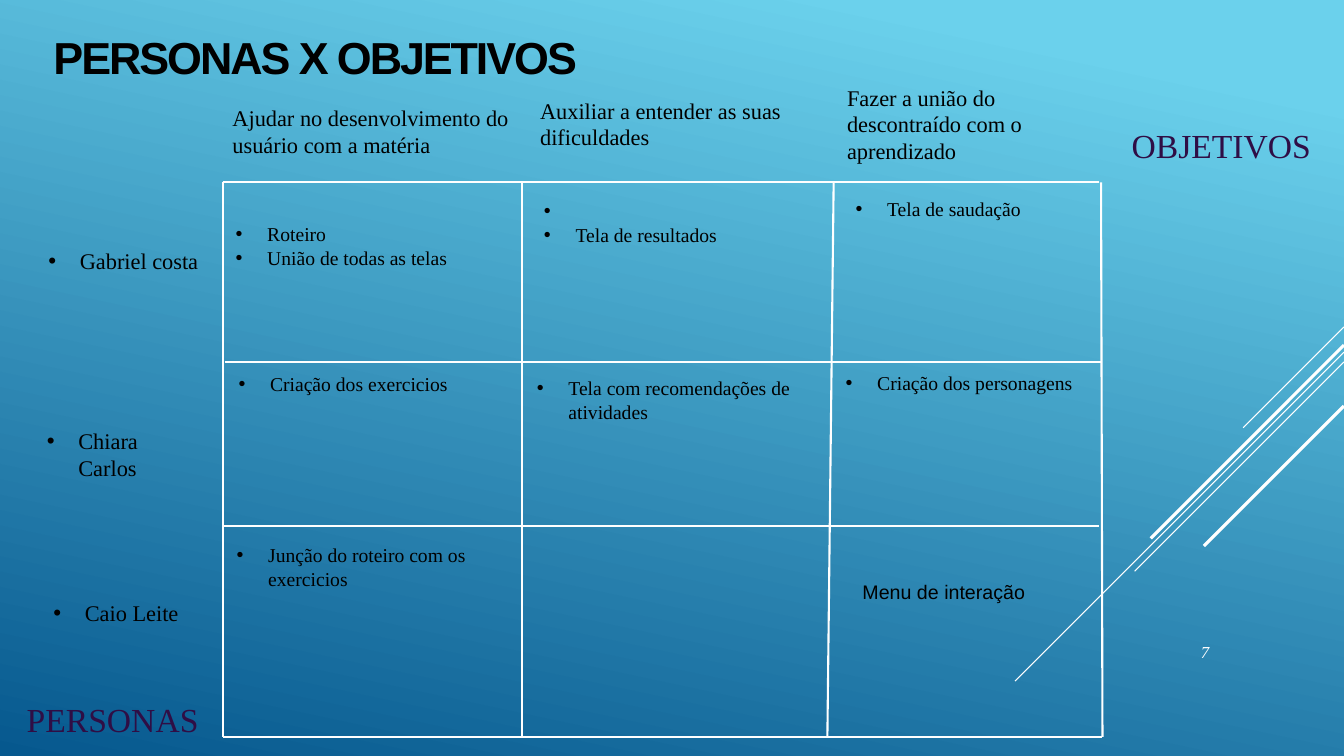
import pptx
import pptx.dml.color
import pptx.enum.shapes
import pptx.enum.text
import pptx.oxml.ns
import pptx.util
from lxml import etree

Pt = pptx.util.Pt
RGB = pptx.dml.color.RGBColor
qn = pptx.oxml.ns.qn
ALIGN = pptx.enum.text.PP_ALIGN
ANCHOR = pptx.enum.text.MSO_ANCHOR

WHITE = RGB(0xFF, 0xFF, 0xFF)
BLACK = RGB(0x00, 0x00, 0x00)
PURPLE = RGB(0x2F, 0x0E, 0x45)
SKY = RGB(0x6B, 0xD1, 0xEC)
OCEAN = RGB(0x06, 0x58, 0x8E)
SERIF = "Times New Roman"
SANS = "Arial"

prs = pptx.Presentation()
prs.slide_width, prs.slide_height = Pt(960), Pt(540)
s = prs.slides.add_slide(prs.slide_layouts[5])

fill = s.background.fill
fill.gradient()
fill.gradient_angle = 258
for stop, color, position in zip(fill.gradient_stops, (SKY, OCEAN), (0.1, 1)):
    stop.color.rgb = color
    stop.position = position


def add_line(x1, y1, x2, y2, width):
    c = s.shapes.add_connector(
        pptx.enum.shapes.MSO_CONNECTOR.STRAIGHT, Pt(x1), Pt(y1), Pt(x2), Pt(y2))
    c.line.color.rgb = WHITE
    c.line.width = Pt(width)
    etree.SubElement(c._element.spPr, qn("a:effectLst"))


def add_text(text, x, y, w, h, size=14, font=SERIF, color=BLACK, bold=False,
             italic=False, bullet=False, align=ALIGN.LEFT, anchor=ANCHOR.TOP, sp=None):
    """Write one paragraph per line of text, in sp or in a new text box."""
    sp = sp or s.shapes.add_textbox(0, 0, 0, 0)
    sp.left, sp.top, sp.width, sp.height = Pt(x), Pt(y), Pt(w), Pt(h)
    tf = sp.text_frame
    tf.word_wrap = True
    tf.auto_size = pptx.enum.text.MSO_AUTO_SIZE.NONE
    tf.vertical_anchor = anchor
    for i, line in enumerate(text.split("\n")):
        p = tf.add_paragraph() if i else tf.paragraphs[0]
        p.alignment = align
        r = p.add_run()
        r.text = line
        r.font.size, r.font.name = Pt(size), font
        r.font.bold, r.font.italic = bold, italic
        r.font.color.rgb = color
        if bullet:
            pPr = p._p.get_or_add_pPr()
            pPr.set("marL", str(Pt(22.5)))
            pPr.set("indent", str(Pt(-22.5)))
            etree.SubElement(pPr, qn("a:buFont")).set("typeface", SANS)
            etree.SubElement(pPr, qn("a:buChar")).set("char", "•")
    return sp


# Diagonal accents, all starting at the right edge and running at 45 degrees
for y, run, width in [(233.5, 72, 0.75), (251.5, 235, 0.75), (258.5, 149.5, 0.75),
                      (246.5, 138, 2.25), (290, 100, 2.25)]:
    add_line(960, y, 960 - run, y + run, width)

# Grid
TOP, BOTTOM = 130.3, 526.3
for x_top, x_bottom in [(159, 159), (373, 373), (595.5, 591), (786.5, 787.5)]:
    add_line(x_top, TOP, x_bottom, BOTTOM, 1.5)
for y, x1, x2 in [(TOP, 159, 785), (258.5, 160.5, 786.5), (375.8, 159, 785),
                  (BOTTOM, 159, 787.5)]:
    add_line(x1, y, x2, y, 1.5)

# Title and axis names
title = add_text("PERSONAS X OBJETIVOS", 31, 21.6, 724, 34, size=32, font=SANS,
                 bold=True, sp=s.shapes.title)
p = title.text_frame.paragraphs[0]
p.line_spacing = 0.9
p.runs[0].font._element.set("spc", "-150")
add_text("PERSONAS", 12, 495.5, 143, 36, size=24, color=PURPLE)
add_text("OBJETIVOS", 801.3, 85.5, 145, 36, size=24, color=PURPLE)

# Column heads
for text, x, y, w, h in [
    ("Ajudar no desenvolvimento do usuário com a matéria", 159, 70.7, 216, 45),
    ("Auxiliar a entender as suas dificuldades", 378.7, 65.5, 217.5, 45),
    ("Fazer a união do descontraído com o aprendizado", 598, 56.3, 191, 86),
]:
    add_text(text, x, y, w, h, size=16)

# Row heads
for text, x, y, w, h in [
    ("Gabriel costa", 27.4, 173, 143, 26),
    ("Chiara Carlos", 26.4, 301.5, 118, 45),
    ("Caio Leite", 31, 424.7, 118, 26),
]:
    add_text(text, x, y, w, h, size=16, bullet=True)

# Cells
for text, x, y, w, h in [
    ("Roteiro\nUnião de todas as telas", 161.3, 155.2, 209.5, 40.5),
    (" \nTela de resultados", 381.5, 138.8, 206, 40.5),
    ("Tela de saudação", 604, 136.8, 179, 24),
    ("Criação dos exercicios", 163.3, 262.2, 207, 24),
    ("Tela com recomendações de atividades", 376.4, 265, 212.5, 40.5),
    ("Criação dos personagens", 597, 261.5, 187, 24),
    ("Junção do roteiro com os exercicios", 162, 384.5, 205, 40.5),
]:
    add_text(text, x, y, w, h, bullet=True)
add_text("Menu de interação", 609, 411, 163, 27, font=SANS)

# Slide number
add_text("7", 815.8, 439.5, 90, 52.5, size=12, color=WHITE, italic=True,
         align=ALIGN.CENTER, anchor=ANCHOR.MIDDLE)

prs.save("out.pptx")
